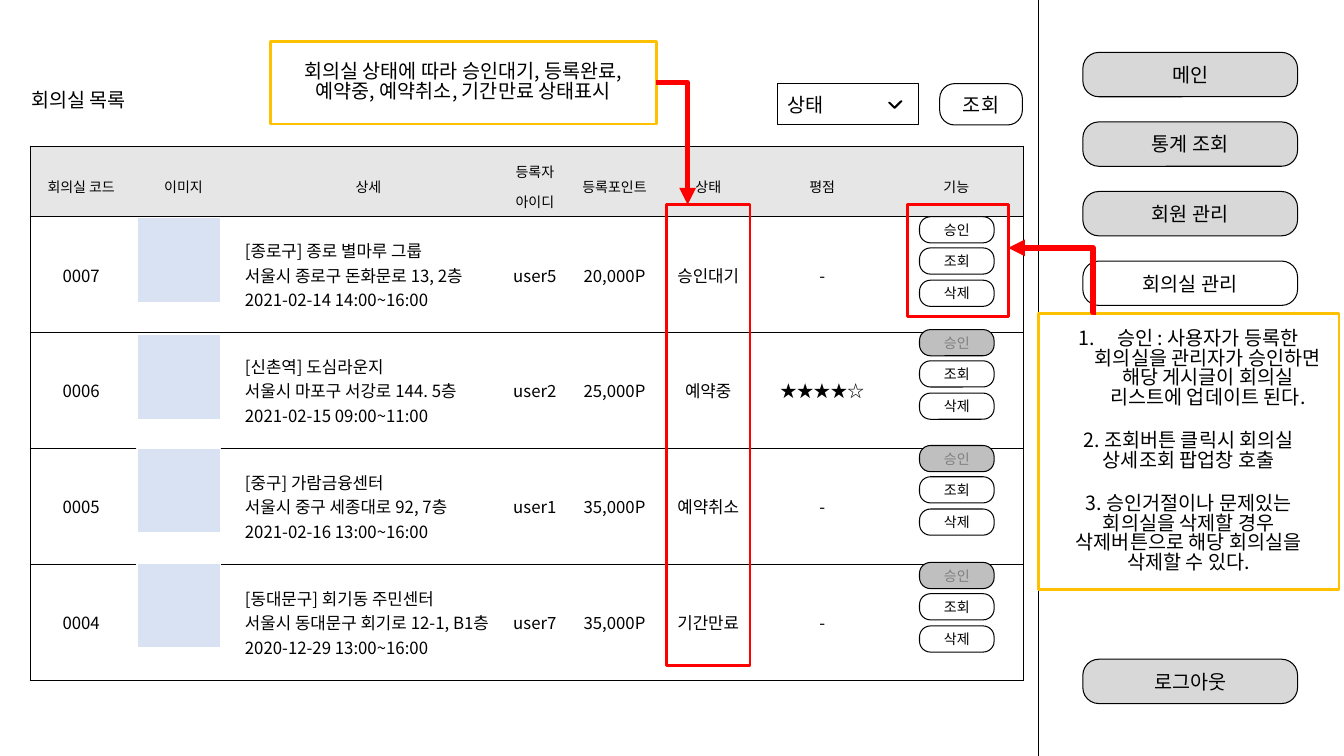
from lxml.etree import SubElement
from pptx import Presentation
from pptx.dml.color import RGBColor
from pptx.enum.shapes import MSO_CONNECTOR as Link, MSO_SHAPE as Kind
from pptx.enum.text import MSO_ANCHOR as Anchor, PP_ALIGN as Align
from pptx.oxml.ns import qn
from pptx.util import Emu, Pt

SCALE = 9144
COLORS = {
    "ink": "000000", "paper": "FFFFFF", "menu": "D8D8D8", "header": "E7E6E6",
    "photo": "D8E2F3", "disabled": "BFBFBF", "muted": "7F7F7F",
    "alert": "FF0000", "note": "FFC000",
}
FONT = "Noto Sans CJK KR"
PLAIN_TABLE = "{2D5ABB26-0587-4C30-8999-92F81FD0307C}"
TIGHT = 0.83
COLUMNS = [101, 102, 265, 65, 93, 93, 133, 133]
ROWS = [69, 115, 115, 115, 115]
HEADINGS = ["회의실 코드", "이미지", "상세", "등록자 아이디", "등록포인트", "상태", "평점", "기능"]
ROOMS = [
    ["0007", "", "[종로구] 종로 별마루 그룹\n서울시 종로구 돈화문로 13, 2층\n2021-02-14 14:00~16:00",
     "user5", "20,000P", "승인대기", "-", ""],
    ["0006", "", "[신촌역] 도심라운지\n서울시 마포구 서강로 144. 5층\n2021-02-15 09:00~11:00",
     "user2", "25,000P", "예약중", "★★★★☆", ""],
    ["0005", "", "[중구] 가람금융센터\n서울시 중구 세종대로 92, 7층\n2021-02-16 13:00~16:00",
     "user1", "35,000P", "예약취소", "-", ""],
    ["0004", "", "[동대문구] 회기동 주민센터\n서울시 동대문구 회기로 12-1, B1층\n2020-12-29 13:00~16:00",
     "user7", "35,000P", "기간만료", "-", ""],
]
PHOTO_TOPS = [216, 332, 445, 559]
BUTTON_TOPS = [215, 327, 442, 558]
BUTTON_OFFSETS = {"승인": 0, "조회": 31, "삭제": 63}
GUIDE = ("승인 : 사용자가 등록한 회의실을 관리자가 승인하면 해당 게시글이 회의실 리스트에 업데이트 된다.\n"
         "2. 조회버튼 클릭시 회의실 상세조회 팝업창 호출\n"
         "3. 승인거절이나 문제있는 회의실을 삭제할 경우 삭제버튼으로 해당 회의실을 삭제할 수 있다.")


def px(*lengths):
    """Turn px lengths into EMU."""
    return [Emu(length * SCALE) for length in lengths]


def rgb(name):
    """Look up a named colour."""
    return RGBColor.from_string(COLORS[name])


def write(frame, text, size=14, color="ink", align=Align.CENTER, font=FONT, spacing=None, gap=0):
    """Fill a text frame with one paragraph per line of text."""
    frame.word_wrap = True
    for index, line in enumerate(text.split("\n")):
        para = frame.add_paragraph() if index else frame.paragraphs[0]
        para.alignment = align
        if spacing:
            para.line_spacing = spacing
        if index and gap:
            para.space_before = Pt(gap)
        span = para.add_run()
        span.text = line
        span.font.size = Pt(size)
        span.font.name = font
        span.font.color.rgb = rgb(color)
        SubElement(span.font._element, qn("a:ea"), typeface=FONT)


def add_box(page, box, kind=Kind.RECTANGLE, fill="paper", line="ink", width=0.75, corners=(), text="", **style):
    """Draw a preset shape with optional text."""
    shape = page.shapes.add_shape(kind, *px(*box))
    shape.shadow.inherit = False
    if fill:
        shape.fill.solid()
        shape.fill.fore_color.rgb = rgb(fill)
    else:
        shape.fill.background()
    shape.line.color.rgb = rgb(line)
    shape.line.width = Pt(width)
    for index, value in enumerate(corners):
        shape.adjustments[index] = value
    if text:
        shape.text_frame.vertical_anchor = Anchor.MIDDLE
        write(shape.text_frame, text, **style)
    return shape


def add_button(page, box, text, corner=0.36, **style):
    """Draw a rounded button."""
    add_box(page, box, Kind.ROUNDED_RECTANGLE, corners=[corner], text=text, **style)


def add_link(page, points, kind=Link.STRAIGHT, color="ink", width=0.75):
    """Draw a connector without a shadow."""
    link = page.shapes.add_connector(kind, *px(*points))
    link.line.color.rgb = rgb(color)
    link.line.width = Pt(width)
    SubElement(link._element.spPr, qn("a:effectLst"))
    return link


def add_arrow(page, points, preset, bend=None):
    """Draw a red bent arrow."""
    arrow = add_link(page, points, Link.ELBOW, "alert", 4)
    SubElement(arrow.line._get_or_add_ln(), qn("a:tailEnd"), type="triangle")
    geometry = arrow._element.spPr.find(qn("a:prstGeom"))
    geometry.set("prst", preset)
    if bend is not None:
        SubElement(geometry.find(qn("a:avLst")), qn("a:gd"), name="adj1", fmla=f"val {bend}")


def format_cell(cell, fill, sides):
    """Give a cell its visible borders and fill."""
    props = cell._tc.get_or_add_tcPr()
    for side in "LRTB":
        edge = SubElement(props, qn(f"a:ln{side}"), w=str(Pt(1)))
        if side in sides:
            paint = SubElement(edge, qn("a:solidFill"))
            SubElement(paint, qn("a:srgbClr"), val=COLORS["ink"])
        else:
            SubElement(edge, qn("a:noFill"))
    cell.fill.solid()
    cell.fill.fore_color.rgb = rgb(fill)
    cell.vertical_anchor = Anchor.MIDDLE


def draw_table(page, left, top):
    """Build the meeting room table."""
    frame = page.shapes.add_table(len(ROWS), len(COLUMNS), *px(left, top, sum(COLUMNS), sum(ROWS)))
    table = frame.table
    table._tbl.tblPr.find(qn("a:tableStyleId")).text = PLAIN_TABLE
    for column, width in zip(table.columns, px(*COLUMNS)):
        column.width = width
    for row, height in zip(table.rows, px(*ROWS)):
        row.height = height
    for r, values in enumerate([HEADINGS] + ROOMS):
        for c, value in enumerate(values):
            cell = table.cell(r, c)
            sides = "TB" + ("L" if c == 0 else "R" if c == len(COLUMNS) - 1 else "")
            format_cell(cell, "paper" if r else "header", sides)
            if not r:
                write(cell.text_frame, value, size=10, font="Arial", spacing=1.5)
            elif value:
                write(cell.text_frame, value, size=12, align=Align.LEFT if c == 2 else Align.CENTER)


def draw_room_parts(page, photo_left, button_left):
    """Place the photo and action buttons of each room."""
    for top in PHOTO_TOPS:
        add_box(page, (photo_left, top, 83, 84), fill="photo", line="paper", width=1)
    for room, top in enumerate(BUTTON_TOPS):
        for label, offset in BUTTON_OFFSETS.items():
            disabled = room > 0 and label == "승인"
            add_button(page, (button_left, top + offset, 74, 26), label, corner=0.42, size=10,
                       fill="disabled" if disabled else "paper", color="muted" if disabled else "ink")


def draw_menu(page, left, top):
    """Draw the side menu and its divider."""
    for index, label in enumerate(["메인", "통계 조회", "회원 관리", "회의실 관리"]):
        add_button(page, (left, top + 69 * index, 213, 44), label, fill="paper" if index == 3 else "menu")
    add_button(page, (left, top + 602, 213, 44), "로그아웃", fill="menu")
    add_link(page, (left - 44, 0, left - 44, 750))


def draw_search(page, left, top):
    """Draw the status selector and search button."""
    add_box(page, (left, top, 140, 41), text="상태", align=Align.LEFT)
    add_button(page, (left + 161, top, 82, 41), "조회")
    chevron = add_box(page, (left + 113, top + 13, 8, 10), Kind.HALF_FRAME, fill="ink", width=1, corners=(0.08, 0.08))
    chevron.rotation = 225


def draw_callouts(page):
    """Draw the highlighted regions with notes and arrows."""
    add_box(page, (661, 203, 83, 457), fill=None, line="alert", width=2)
    add_box(page, (268, 41, 383, 82), line="note", width=2, spacing=TIGHT,
            text="회의실 상태에 따라 승인대기, 등록완료, 예약중, 예약취소, 기간만료 상태표시")
    add_arrow(page, (651, 82, 682, 203), "bentConnector2")
    add_box(page, (900, 203, 100, 111), fill=None, line="alert", width=2)
    guide = add_box(page, (1030, 311, 298, 274), line="note", width=2, text=GUIDE, spacing=TIGHT, gap=17)
    props = guide.text_frame.paragraphs[0]._p.get_or_add_pPr()
    props.set("marL", str(38 * SCALE))
    props.set("indent", str(-38 * SCALE))
    SubElement(props, qn("a:buFont"), typeface=FONT)
    SubElement(props, qn("a:buAutoNum"), type="arabicPeriod")
    add_arrow(page, (1087, 310, 1000, 246), "bentConnector3", 3000)


def main():
    """Build the room management page."""
    deck = Presentation()
    deck.slide_width, deck.slide_height = px(1333, 750)
    page = deck.slides.add_slide(deck.slide_layouts[6])
    draw_menu(page, 1074, 52)
    draw_table(page, 30, 145)
    title = page.shapes.add_textbox(*px(21, 82, 204, 34))
    write(title.text_frame, "회의실 목록", align=Align.LEFT)
    draw_room_parts(page, 136, 912)
    draw_callouts(page)
    draw_search(page, 771, 83)
    deck.save("out.pptx")


if __name__ == "__main__":
    main()
